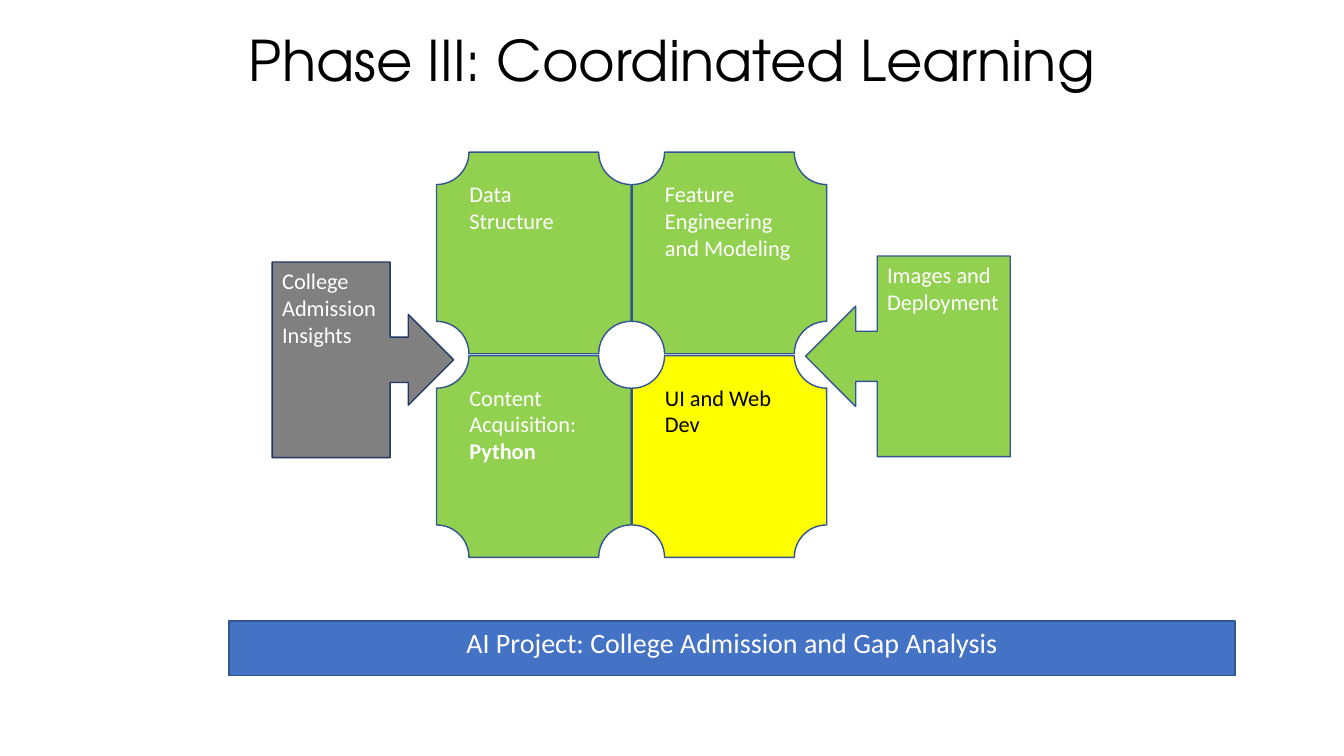
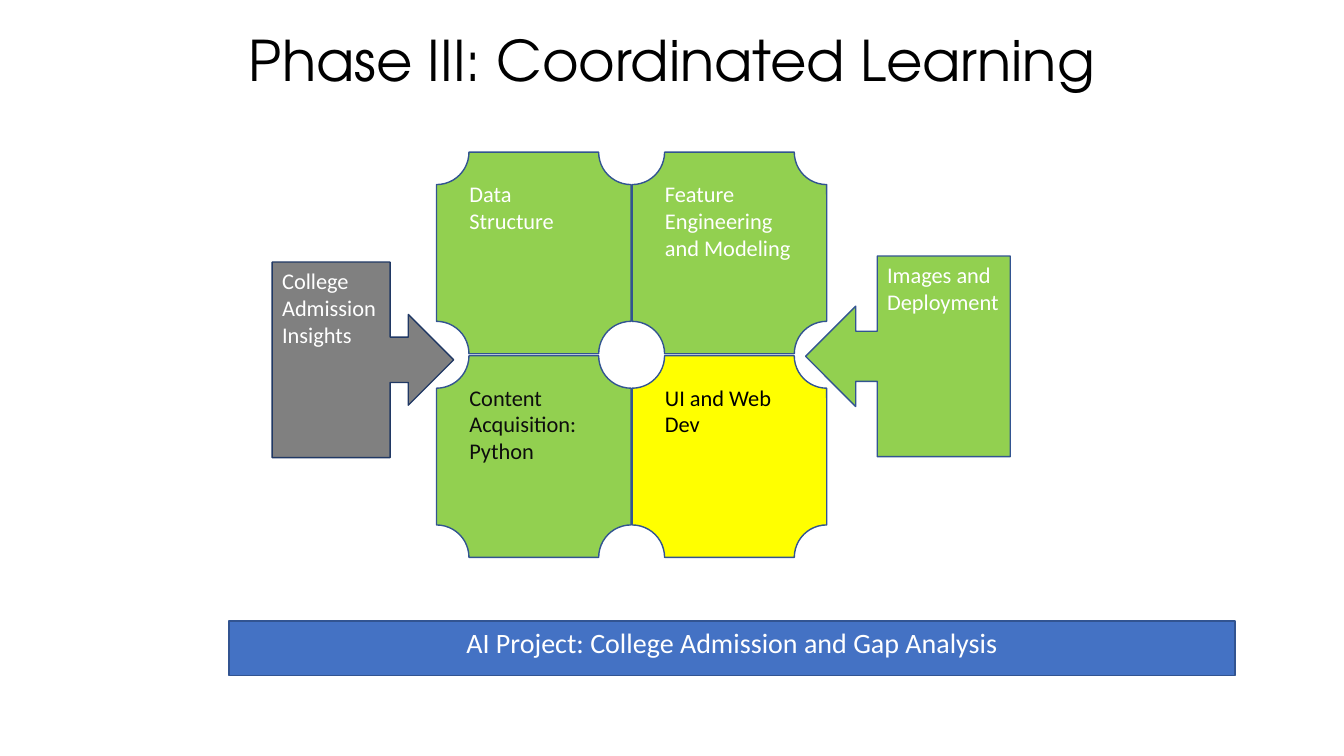
from pptx import Presentation
from pptx.dml.color import RGBColor
from pptx.enum.shapes import MSO_SHAPE
from pptx.enum.text import MSO_ANCHOR, MSO_AUTO_SIZE, PP_ALIGN
from pptx.util import Inches, Pt

PLAQUE, BAR = MSO_SHAPE.PLAQUE, MSO_SHAPE.RECTANGLE
LEFT_CALLOUT = MSO_SHAPE.LEFT_ARROW_CALLOUT
RIGHT_CALLOUT = MSO_SHAPE.RIGHT_ARROW_CALLOUT
TOP, GROW = MSO_ANCHOR.TOP, MSO_AUTO_SIZE.SHAPE_TO_FIT_TEXT
LEFT, CENTER = PP_ALIGN.LEFT, PP_ALIGN.CENTER

# Shared style
WIDTH, HEIGHT = 13.33, 7.5
TITLE_FONT, BODY_FONT = "TeX Gyre Adventor", "Calibri"
WHITE, BLACK, NEAR_BLACK = "FFFFFF", "000000", "0D0D0D"
GREEN, YELLOW, GRAY, BLUE = "92D050", "FFFF00", "808080", "4472C4"
OUTLINE, DARK_OUTLINE = "325491", "203864"

# Content: runs are (text, bold)
TITLE = "Phase III: Coordinated Learning"
PROJECT = "AI Project: College Admission and Gap Analysis"
DATA = ([("Data Structure", False)], GREEN, WHITE)
FEATURES = ([("Feature Engineering and Modeling", False)], GREEN, WHITE)
WEB = ([("UI and Web Dev", False)], YELLOW, BLACK)
ACQUISITION_BY_SLIDE = [
    ([("Content Acquisition: ", False), ("Python", True)], GREEN, WHITE),
    ([("Content Acquisition: Python", False)], GREEN, NEAR_BLACK),
]
CALLOUTS = [  # shape, box, text, fill, outline
    (LEFT_CALLOUT, (7.99, 2.54, 2.03, 1.99), "Images and Deployment", GREEN, OUTLINE),
    (RIGHT_CALLOUT, (2.7, 2.6, 1.8, 1.94), "College Admission Insights", GRAY, DARK_OUTLINE),
]

# Puzzle grid
GRID_LEFT, GRID_TOP = 4.33, 1.51
PIECE_WIDTH, PIECE_HEIGHT = 1.93, 2
COLUMN_STEP, ROW_STEP = 1.94, 2.02


def color(value):
    return RGBColor.from_string(value)


def write(shape, runs, size, ink, font=BODY_FONT, align=LEFT):
    frame = shape.text_frame
    frame.word_wrap = True
    frame.vertical_anchor = TOP
    paragraph = frame.paragraphs[0]
    paragraph.alignment = align
    for text, bold in runs:
        run = paragraph.add_run()
        run.text = text
        run.font.name = font
        run.font.size = Pt(size)
        run.font.bold = bold
        run.font.color.rgb = color(ink)


def add_block(slide, kind, box, runs, fill, ink=WHITE, outline=OUTLINE, size=16, align=LEFT):
    shape = slide.shapes.add_shape(kind, *map(Inches, box))
    shape.shadow.inherit = False
    shape.fill.solid()
    shape.fill.fore_color.rgb = color(fill)
    shape.line.color.rgb = color(outline)
    shape.line.width = Pt(1)
    write(shape, runs, size, ink, align=align)


def add_title(slide):
    title = slide.shapes.add_textbox(0, Inches(0.2), Inches(WIDTH), Inches(0.77))
    write(title, [(TITLE, False)], 40, BLACK, TITLE_FONT, CENTER)
    title.text_frame.auto_size = GROW


def build_slide(presentation, acquisition):
    slide = presentation.slides.add_slide(presentation.slide_layouts[6])
    add_title(slide)

    # Four puzzle pieces, row by row
    for index, (runs, fill, ink) in enumerate([DATA, FEATURES, acquisition, WEB]):
        row, column = divmod(index, 2)
        box = (GRID_LEFT + column * COLUMN_STEP, GRID_TOP + row * ROW_STEP,
               PIECE_WIDTH, PIECE_HEIGHT)
        add_block(slide, PLAQUE, box, runs, fill, ink)

    # Callouts pointing at the puzzle
    for kind, box, text, fill, outline in CALLOUTS:
        add_block(slide, kind, box, [(text, False)], fill, outline=outline)

    # Project bar
    add_block(slide, BAR, (2.27, 6.16, 9.98, 0.54), [(PROJECT, False)], BLUE,
              size=20, align=CENTER)


presentation = Presentation()
presentation.slide_width, presentation.slide_height = Inches(WIDTH), Inches(HEIGHT)
for acquisition in ACQUISITION_BY_SLIDE:
    build_slide(presentation, acquisition)
presentation.save("out.pptx")
